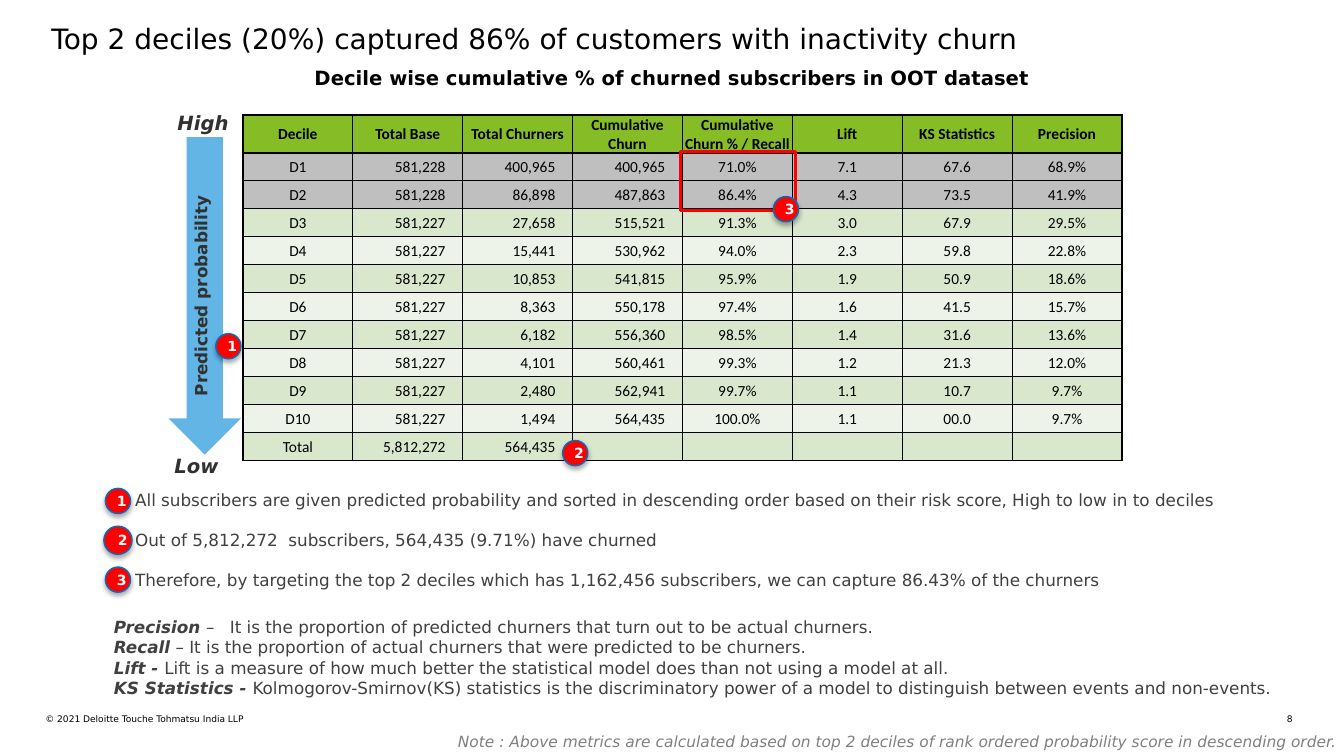
import dataclasses

import lxml.etree
import pptx
import pptx.dml.color
import pptx.enum.shapes
import pptx.enum.text
import pptx.oxml.ns
import pptx.util

Inches = pptx.util.Inches
Pt = pptx.util.Pt
Align = pptx.enum.text.PP_ALIGN
Anchor = pptx.enum.text.MSO_ANCHOR
Shape = pptx.enum.shapes.MSO_SHAPE


@dataclasses.dataclass(frozen=True)
class Theme:
    font: str = "DejaVu Sans"
    table_font: str = "Calibri"
    black: str = "000000"
    body: str = "404040"
    label: str = "313131"
    note: str = "808080"
    white: str = "FFFFFF"
    arrow: str = "62B5E5"
    red: str = "FF0000"
    badge_line: str = "0070C0"
    header: str = "86BC25"
    top_decile: str = "BFBFBF"
    bands: tuple = ("D9E7CD", "EDF3E8")
    title_size: float = 20
    heading_size: float = 14
    body_size: float = 12
    small_size: float = 11
    badge_size: float = 10
    footer_size: float = 6.5


@dataclasses.dataclass(frozen=True)
class Box:
    left: float
    top: float
    width: float
    height: float

    def inner(self, left, top, width, height):
        return Box(self.left + left, self.top + top, width, height)

    def lengths(self):
        return [Inches(value) for value in dataclasses.astuple(self)]


THEME = Theme()
HEADINGS = ("Decile", "Total Base", "Total Churners", "Cumulative Churn",
            "Cumulative Churn % / Recall", "Lift", "KS Statistics", "Precision")
ROWS = (
    ("D1", "581,228", "400,965", "400,965", "71.0%", "7.1", "67.6", "68.9%"),
    ("D2", "581,228", "86,898", "487,863", "86.4%", "4.3", "73.5", "41.9%"),
    ("D3", "581,227", "27,658", "515,521", "91.3%", "3.0", "67.9", "29.5%"),
    ("D4", "581,227", "15,441", "530,962", "94.0%", "2.3", "59.8", "22.8%"),
    ("D5", "581,227", "10,853", "541,815", "95.9%", "1.9", "50.9", "18.6%"),
    ("D6", "581,227", "8,363", "550,178", "97.4%", "1.6", "41.5", "15.7%"),
    ("D7", "581,227", "6,182", "556,360", "98.5%", "1.4", "31.6", "13.6%"),
    ("D8", "581,227", "4,101", "560,461", "99.3%", "1.2", "21.3", "12.0%"),
    ("D9", "581,227", "2,480", "562,941", "99.7%", "1.1", "10.7", "9.7%"),
    ("D10", "581,227", "1,494", "564,435", "100.0%", "1.1", "00.0", "9.7%"),
    ("Total", "5,812,272", "564,435", "", "", "", "", ""),
)
COUNT_COLUMNS = (1, 2, 3)
FINDINGS = (
    "All subscribers are given predicted probability and sorted in descending order "
    "based on their risk score, High to low in to deciles",
    "Out of 5,812,272  subscribers, 564,435 (9.71%) have churned",
    "Therefore, by targeting the top 2 deciles which has 1,162,456 subscribers, "
    "we can capture 86.43% of the churners",
)
DEFINITIONS = (
    ("Precision ", "–\t",
     "It is the proportion of predicted churners that turn out to be actual churners."),
    ("Recall", " – ",
     "It is the proportion of actual churners that were predicted to be churners."),
    ("Lift - ", "",
     "Lift is a measure of how much better the statistical model does than not using a model at all."),
    ("KS Statistics - ", "",
     "Kolmogorov-Smirnov(KS) statistics is the discriminatory power of a model to distinguish "
     "between events and non-events."),
)


def rgb(value):
    return pptx.dml.color.RGBColor.from_string(value)


def add_xml(parent, tag, **attributes):
    values = {name: str(value) for name, value in attributes.items()}
    return lxml.etree.SubElement(parent, pptx.oxml.ns.qn(tag), values)


def write_span(para, text, size=THEME.body_size, color=THEME.black, bold=False,
               italic=False, font=THEME.font, align=Align.LEFT):
    para.alignment = align
    span = para.add_run()
    span.text = text
    span.font.name, span.font.size = font, Pt(size)
    span.font.bold, span.font.italic = bold, italic
    span.font.color.rgb = rgb(color)


def add_frame(page, box, anchor=Anchor.TOP):
    frame = page.shapes.add_textbox(*box.lengths()).text_frame
    frame.word_wrap = True
    frame.vertical_anchor = anchor
    frame.margin_left = frame.margin_right = frame.margin_top = frame.margin_bottom = 0
    return frame


def add_label(page, box, text, anchor=Anchor.TOP, turned=False, **style):
    frame = add_frame(page, box, anchor)
    if turned:
        frame._txBody.bodyPr.set("vert", "vert270")
    write_span(frame.paragraphs[0], text, **style)


def add_plain_shape(page, box, kind, fill=None, line=None, line_width=1):
    shape = page.shapes.add_shape(kind, *box.lengths())
    shape.shadow.inherit = False
    if fill:
        shape.fill.solid()
        shape.fill.fore_color.rgb = rgb(fill)
    else:
        shape.fill.background()
    if line:
        shape.line.color.rgb = rgb(line)
        shape.line.width = Pt(line_width)
    else:
        shape.line.fill.background()
    return shape


def add_badge(page, box, number):
    badge = add_plain_shape(page, box, Shape.OVAL, THEME.red, THEME.badge_line)
    effects = badge._element.spPr.find(pptx.oxml.ns.qn("a:effectLst"))
    shadow = add_xml(effects, "a:outerShdw", blurRad=Pt(3.5), dist=Pt(2.2),
                     dir=90 * 60000, rotWithShape=0)
    add_xml(add_xml(shadow, "a:srgbClr", val=THEME.black), "a:alpha", val=32000)
    badge.text_frame.vertical_anchor = Anchor.MIDDLE
    write_span(badge.text_frame.paragraphs[0], str(number), size=THEME.badge_size,
               color=THEME.white, bold=True, align=Align.CENTER)


def add_headings(page, box):
    add_label(page, box.inner(0.51, 0.21, 12.31, 0.4),
              "Top 2 deciles (20%) captured 86% of customers with inactivity churn",
              size=THEME.title_size)
    add_label(page, box.inner(0, 0.63, box.width, 0.29),
              "Decile wise cumulative % of churned subscribers in OOT dataset",
              anchor=Anchor.MIDDLE, size=THEME.heading_size, bold=True, align=Align.CENTER)


def add_probability_arrow(page, box):
    add_plain_shape(page, box, Shape.DOWN_ARROW, THEME.arrow)
    add_label(page, box.inner(0.22, 0.37, 0.2, 2.41), "Predicted probability", turned=True,
              color=THEME.label, bold=True, align=Align.CENTER)
    for text, left, top in (("High", 0.09, -0.26), ("Low", 0.06, box.height - 0.01)):
        add_label(page, box.inner(left, top, 1.01, 0.24), text, size=THEME.heading_size,
                  color=THEME.label, bold=True, italic=True)
    add_badge(page, box.inner(0.47, 1.95, 0.25, 0.25), 1)


def fill_cell(cell, text, fill, bold=False, count=False):
    cell.vertical_anchor = Anchor.MIDDLE
    cell.margin_left = cell.margin_top = Inches(0.01)
    cell.margin_right = Inches(0.17 if count else 0.01)
    cell.margin_bottom = 0
    for side in ("L", "R", "T", "B"):
        line = add_xml(cell._tc.get_or_add_tcPr(), f"a:ln{side}", w=Pt(1))
        add_xml(add_xml(line, "a:solidFill"), "a:srgbClr", val=THEME.black)
    cell.fill.solid()
    cell.fill.fore_color.rgb = rgb(fill)
    para = cell.text_frame.paragraphs[0]
    if text:
        write_span(para, text, size=THEME.small_size, font=THEME.table_font, bold=bold,
                   align=Align.RIGHT if count else Align.CENTER)
    else:
        add_xml(para._p, "a:endParaRPr", sz=THEME.small_size * 100)


def add_decile_table(page, box):
    header_height = 0.37
    row_height = (box.height - header_height) / len(ROWS)
    table = page.shapes.add_table(len(ROWS) + 1, len(HEADINGS), *box.lengths()).table
    for column in table.columns:
        column.width = Inches(box.width / len(HEADINGS))
    for index, row in enumerate(table.rows):
        row.height = Inches(row_height if index else header_height)
    for column, heading in enumerate(HEADINGS):
        fill_cell(table.cell(0, column), heading, THEME.header, bold=True)
    for index, values in enumerate(ROWS):
        fill = THEME.top_decile if index < 2 else THEME.bands[index % 2]
        for column, value in enumerate(values):
            fill_cell(table.cell(index + 1, column), value, fill,
                      count=column in COUNT_COLUMNS)
    add_plain_shape(page, box.inner(4.34, 0.36, 1.14, 0.59), Shape.RECTANGLE,
                    line=THEME.red, line_width=2.25)
    add_badge(page, box.inner(3.17, 3.23, 0.25, 0.25), 2)
    add_badge(page, box.inner(5.26, 0.81, 0.25, 0.25), 3)


def add_findings(page, box):
    frame = add_frame(page, box.inner(0.3, 0, box.width - 0.3, box.height))
    for index, finding in enumerate(FINDINGS):
        para = frame.add_paragraph() if index else frame.paragraphs[0]
        if index:
            para.space_before = Pt(14)
        write_span(para, finding, color=THEME.body)
        size = 0.28 if index == 1 else 0.25
        add_badge(page, box.inner(0.13 - size / 2, 0.11 + 0.39 * index - size / 2,
                                  size, size), index + 1)


def add_definitions(page, box):
    frame = add_frame(page, box)
    for index, (term, dash, meaning) in enumerate(DEFINITIONS):
        para = frame.add_paragraph() if index else frame.paragraphs[0]
        if "\t" in dash:
            tabs = add_xml(para._p.get_or_add_pPr(), "a:tabLst")
            add_xml(tabs, "a:tab", pos=Inches(1.15), algn="l")
        write_span(para, term, color=THEME.body, bold=True, italic=True)
        if dash:
            write_span(para, dash, color=THEME.body, italic=True)
        write_span(para, meaning, color=THEME.body)


def add_footer(page, box):
    add_label(page, box.inner(0.45, 0, 4.76, 0.11),
              "© 2021 Deloitte Touche Tohmatsu India LLP", size=THEME.footer_size)
    add_label(page, box.inner(12.48, 0, 0.34, 0.11), "8", size=THEME.footer_size,
              align=Align.RIGHT)
    add_label(page, box.inner(4.29, 0.18, 9.23, 0.19),
              "Note : Above metrics are calculated based on top 2 deciles of rank ordered "
              "probability score in descending order.", size=THEME.small_size,
              color=THEME.note, italic=True, align=Align.CENTER)


def main():
    deck = pptx.Presentation()
    deck.slide_width, deck.slide_height = Inches(13.33), Inches(7.5)
    page = deck.slides.add_slide(deck.slide_layouts[6])
    add_headings(page, Box(0, 0, 13.33, 1))
    add_probability_arrow(page, Box(1.67, 1.36, 0.72, 3.15))
    add_decile_table(page, Box(2.41, 1.14, 8.72, 3.42))
    add_findings(page, Box(1.04, 4.86, 11.48, 1.07))
    add_definitions(page, Box(1.13, 6.12, 12.1, 0.81))
    add_footer(page, Box(0, 7.08, 13.33, 0.42))
    deck.save("out.pptx")


if __name__ == "__main__":
    main()
